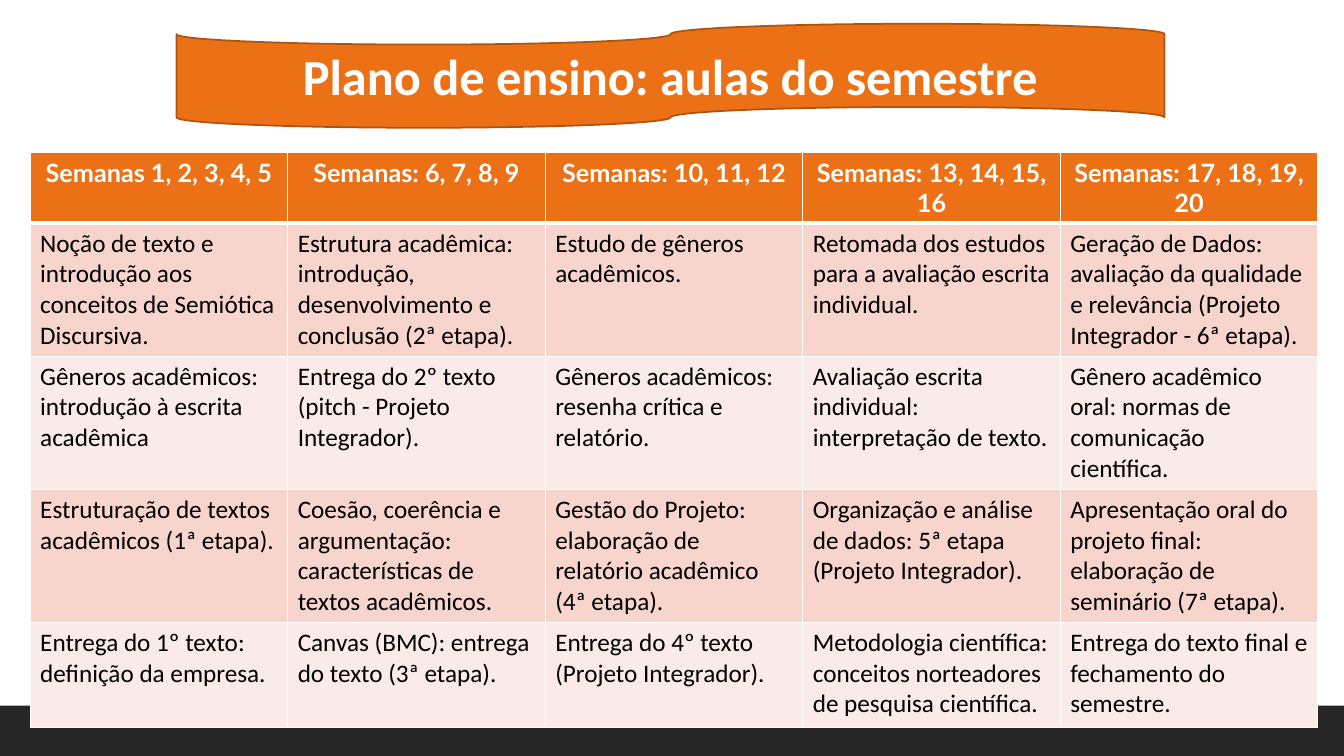
import pptx
import pptx.dml.color
import pptx.enum.shapes
import pptx.enum.text
import pptx.oxml
import pptx.oxml.ns
import pptx.util
from pptx.util import Cm

COLORS = {
    "orange": "EC7016",
    "outline": "AF5310",
    "footer": "262626",
    "band_dark": "F8D5CC",
    "band_light": "FBEBE8",
    "white": "FFFFFF",
    "black": "000000",
}
SLIDE_WIDTH, SLIDE_HEIGHT = Cm(33.87), Cm(19.05)
CENTER = pptx.enum.text.PP_ALIGN.CENTER
LEFT = pptx.enum.text.PP_ALIGN.LEFT
SHAPES = pptx.enum.shapes.MSO_SHAPE

# Column headings, then the lessons of each column from top to bottom
SCHEDULE = {
    "Semanas 1, 2, 3, 4, 5": [
        "Noção de texto e introdução aos conceitos de Semiótica Discursiva.",
        "Gêneros acadêmicos: introdução à escrita acadêmica",
        "Estruturação de textos acadêmicos (1ª etapa).",
        "Entrega do 1º texto: definição da empresa.",
    ],
    "Semanas: 6, 7, 8, 9": [
        "Estrutura acadêmica: introdução, desenvolvimento e conclusão (2ª etapa).",
        "Entrega do 2º texto (pitch - Projeto Integrador).",
        "Coesão, coerência e argumentação: características de textos acadêmicos.",
        "Canvas (BMC): entrega do texto (3ª etapa).",
    ],
    "Semanas: 10, 11, 12": [
        "Estudo de gêneros acadêmicos.",
        "Gêneros acadêmicos: resenha crítica e relatório.",
        "Gestão do Projeto: elaboração de relatório acadêmico (4ª etapa).",
        "Entrega do 4º texto (Projeto Integrador).",
    ],
    "Semanas: 13, 14, 15, 16": [
        "Retomada dos estudos para a avaliação escrita individual.",
        "Avaliação escrita individual: interpretação de texto.",
        "Organização e análise de dados: 5ª etapa (Projeto Integrador).",
        "Metodologia científica: conceitos norteadores de pesquisa científica.",
    ],
    "Semanas: 17, 18, 19, 20": [
        "Geração de Dados: avaliação da qualidade e relevância "
        "(Projeto Integrador - 6ª etapa).",
        "Gênero acadêmico oral: normas de comunicação científica.",
        "Apresentação oral do projeto final: elaboração de seminário (7ª etapa).",
        "Entrega do texto final e fechamento do semestre.",
    ],
}
ROW_HEIGHTS = [1.7, 3.18, 2.64, 3.18, 2.64]
COLUMN_WIDTH = 6.49


def rgb(name):
    return pptx.dml.color.RGBColor.from_string(COLORS[name])


class SlideBuilder:
    def __init__(self, slide):
        self.slide = slide

    def label(self, frame, text, font, size, color, bold=False, align=LEFT):
        paragraph = frame.paragraphs[0]
        paragraph.text = text
        paragraph.alignment = align
        paragraph.font.name = font
        paragraph.font.size = pptx.util.Pt(size)
        paragraph.font.bold = bold
        paragraph.font.color.rgb = rgb(color)

    def shape(self, kind, left, top, width, height, fill, outline=None):
        shape = self.slide.shapes.add_shape(kind, left, top, width, height)
        shape.shadow.inherit = False
        shape.fill.solid()
        shape.fill.fore_color.rgb = rgb(fill)
        if outline:
            shape.line.color.rgb = rgb(outline)
            shape.line.width = pptx.util.Pt(1.25)
        else:
            shape.line.fill.background()
        return shape

    def borders(self, cell, top=1, bottom=1):
        properties = cell._tc.get_or_add_tcPr()
        for side, points in (("L", 1), ("R", 1), ("T", top), ("B", bottom)):
            properties.append(pptx.oxml.parse_xml(
                f'<a:ln{side} {pptx.oxml.ns.nsdecls("a")} w="{pptx.util.Pt(points)}">'
                f'<a:solidFill><a:srgbClr val="{COLORS["white"]}"/></a:solidFill>'
                f'</a:ln{side}>'))

    def schedule(self, left, top, columns):
        table = self.slide.shapes.add_table(
            len(ROW_HEIGHTS), len(columns), left, top,
            Cm(COLUMN_WIDTH * len(columns)), Cm(sum(ROW_HEIGHTS))).table
        for row, height in zip(table.rows, ROW_HEIGHTS):
            row.height = Cm(height)
        for c, (heading, lessons) in enumerate(columns.items()):
            table.columns[c].width = Cm(COLUMN_WIDTH)
            for r, text in enumerate([heading, *lessons]):
                cell = table.cell(r, c)
                self.borders(cell, top=3 if r == 1 else 1, bottom=3 if r == 0 else 1)
                cell.fill.solid()
                if r == 0:
                    cell.fill.fore_color.rgb = rgb("orange")
                    self.label(cell.text_frame, text, "Lato", 18, "white", True, CENTER)
                else:
                    band = "band_dark" if r % 2 else "band_light"
                    cell.fill.fore_color.rgb = rgb(band)
                    self.label(cell.text_frame, text, "Calibri", 18, "black")


def main():
    presentation = pptx.Presentation()
    presentation.slide_width = SLIDE_WIDTH
    presentation.slide_height = SLIDE_HEIGHT
    builder = SlideBuilder(presentation.slides.add_slide(presentation.slide_layouts[6]))

    # Footer band
    footer_height = Cm(1.27)
    builder.shape(SHAPES.RECTANGLE, 0, SLIDE_HEIGHT - footer_height,
                  SLIDE_WIDTH, footer_height, "footer")

    # Title banner
    banner = builder.shape(SHAPES.FLOWCHART_PUNCHED_TAPE, Cm(4.45), Cm(0.6),
                           Cm(24.9), Cm(2.62), "orange", "outline")
    banner.text_frame.vertical_anchor = pptx.enum.text.MSO_ANCHOR.MIDDLE
    banner.text_frame.word_wrap = True
    builder.label(banner.text_frame, "Plano de ensino: aulas do semestre",
                  "Calibri", 36, "white", True, CENTER)

    # Semester schedule
    builder.schedule(Cm(0.76), Cm(3.84), SCHEDULE)

    presentation.save("out.pptx")


if __name__ == "__main__":
    main()
